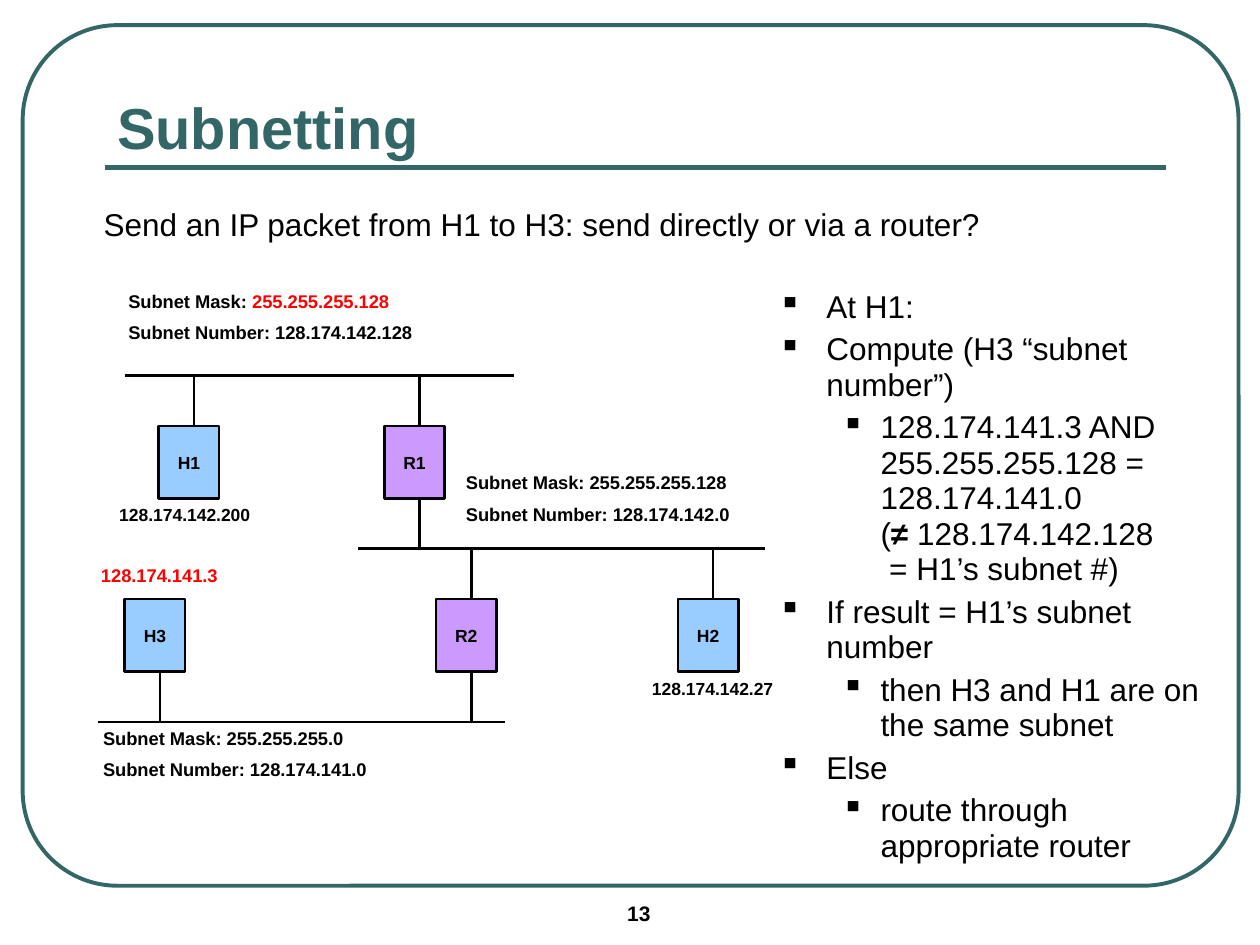
"""Build a slide on subnetting with a network map and routing steps."""
import pptx
import pptx.util
import pptx.dml.color
import pptx.enum.shapes
import pptx.enum.text
import pptx.oxml.ns
import lxml.etree

RGB = pptx.dml.color.RGBColor
TEAL = RGB(0x33, 0x66, 0x66)
BLACK = RGB(0, 0, 0)
RED = RGB(255, 0, 0)
BLUE = RGB(0x99, 0xCC, 0xFF)
LILAC = RGB(0xCC, 0x99, 0xFF)
KIND = pptx.enum.shapes.MSO_SHAPE
ALIGN = pptx.enum.text.PP_ALIGN
ANCHOR = pptx.enum.text.MSO_ANCHOR
INCH, PT = pptx.util.Inches, pptx.util.Pt

FIRST, ROW, LINK = 2.98, 1.375, 0.4
WIDE, TALL, PORT = 0.48, ROW - 2 * LINK, 0.28

WIRES = [(0.99, 4.08), (2.84, 6.07), (0.78, 4.01)]
NODES = [
    ("H1", 1.26, 0, BLUE, (0,)),
    ("R1", 3.05, 0, LILAC, (0, 1)),
    ("H3", 0.99, 1, BLUE, (1,)),
    ("R2", 3.46, 1, LILAC, (0, 1)),
    ("H2", 5.38, 1, BLUE, (0,)),
]
NETS = [
    (0.92, 2.25, "255.255.255.128", RED, "128.174.142.128"),
    (0.72, 5.72, "255.255.255.0", BLACK, "128.174.141.0"),
    (3.6, 3.69, "255.255.255.128", BLACK, "128.174.142.0"),
]
HOSTS = [
    (0.37, 3.95, "128.174.142.200", 10, BLACK),
    (0.17, 4.43, "128.174.141.3", 10.5, RED),
    (4.56, 5.33, "128.174.142.27", 10, BLACK),
]
ASK = "Send an IP packet from H1 to H3: send directly or via a router?"
STEPS = [
    (0, ["At H1:"]),
    (0, ["Compute (H3 “subnet number”)"]),
    (1, ["128.174.141.3 AND 255.255.255.128 = 128.174.141.0 ", "\n", "(", "≠ ",
         "128.174.142.128", "\n", " = H1’s subnet #)"]),
    (0, ["If result = H1’s subnet number"]),
    (1, ["then H3 and H1 are on the same subnet"]),
    (0, ["Else"]),
    (1, ["route through appropriate router"]),
]
INDENTS = [(0.38, -0.38), (0.81, -0.31)]


def write(para, text, size, color=BLACK, bold=True):
    run = para.add_run()
    run.text = text
    font = run.font
    font.name, font.size, font.bold = "Arial", PT(size), bold
    font.color.rgb = color


def box(shapes, left, top, wide, tall, wrap=True):
    frame = shapes.add_textbox(*map(INCH, (left, top, wide, tall))).text_frame
    frame.word_wrap = wrap
    return frame


def block(shapes, kind, area, fill, edge, width):
    shape = shapes.add_shape(kind, *map(INCH, area))
    shape.shadow.inherit = False
    if fill is None:
        shape.fill.background()
    else:
        shape.fill.solid()
        shape.fill.fore_color.rgb = fill
    shape.line.color.rgb = edge
    shape.line.width = PT(width)
    return shape


def wire(shapes, x1, y1, x2, y2, color=BLACK, width=1.5):
    line = shapes.add_connector(pptx.enum.shapes.MSO_CONNECTOR.STRAIGHT,
                                *map(INCH, (x1, y1, x2, y2)))
    line.line.color.rgb = color
    line.line.width = PT(width)
    props = line._element.spPr
    lxml.etree.SubElement(props, pptx.oxml.ns.qn("a:effectLst"))


def frame_up(slide):
    edge = block(slide.shapes, KIND.ROUNDED_RECTANGLE,
                 (0.18, 0.2, 9.65, 6.83), None, TEAL, 2.25)
    edge.adjustments[0] = 0.11
    wire(slide.shapes, 0.83, 1.33, 9.25, 1.33, TEAL, 3)
    title = slide.shapes.title
    title.left, title.top, title.width, title.height = map(
        INCH, (0.83, 0.58, 8.42, 0.75))
    title.text_frame.vertical_anchor = ANCHOR.BOTTOM
    para = title.text_frame.paragraphs[0]
    para.alignment = ALIGN.LEFT
    write(para, "Subnetting", 33, TEAL)
    write(box(slide.shapes, 4.88, 7.1, 1.17, 0.33).paragraphs[0], "13", 12)


def draw_map(shapes):
    for row, (start, end) in enumerate(WIRES):
        y = FIRST + row * ROW
        wire(shapes, start, y, end, y)
    for name, left, row, fill, sides in NODES:
        top = FIRST + row * ROW + LINK
        for side in sides:
            y = top + TALL if side else top - LINK
            wire(shapes, left + PORT, y, left + PORT, y + LINK)
        node = block(shapes, KIND.RECTANGLE, (left, top, WIDE, TALL),
                     fill, BLACK, 1.5)
        frame = node.text_frame
        frame.word_wrap = False
        frame.vertical_anchor = ANCHOR.MIDDLE
        frame.paragraphs[0].alignment = ALIGN.CENTER
        write(frame.paragraphs[0], name, 10)
    for left, top, mask, color, number in NETS:
        frame = box(shapes, left, top, 3.57, 0.54)
        para = frame.paragraphs[0]
        write(para, "Subnet Mask: ", 10.5)
        write(para, mask, 10.5, color)
        para = frame.add_paragraph()
        para.space_before = PT(5.5)
        write(para, "Subnet Number: " + number, 10.5)
    for left, top, text, size, color in HOSTS:
        para = box(shapes, left, top, 2.19, 0.27).paragraphs[0]
        para.alignment = ALIGN.CENTER
        write(para, text, size, color)


def list_steps(frame):
    for spot, (level, parts) in enumerate(STEPS):
        para = frame.add_paragraph() if spot else frame.paragraphs[0]
        para.level = level
        para.line_spacing = 0.94
        para.space_before = PT(4)
        props = para._p.get_or_add_pPr()
        for key, size in zip(("marL", "indent"), INDENTS[level]):
            props.set(key, str(INCH(size)))
        mark = lxml.etree.SubElement(props, pptx.oxml.ns.qn("a:buChar"))
        mark.set("char", "▪")
        for part in parts:
            if part == "\n":
                para.add_line_break()
            else:
                write(para, part, 18, bold=part == "≠ ")


def main():
    deck = pptx.Presentation()
    deck.slide_width, deck.slide_height = INCH(10), INCH(7.5)
    slide = deck.slides.add_slide(deck.slide_layouts[5])
    frame_up(slide)
    draw_map(slide.shapes.add_group_shape().shapes)
    para = box(slide.shapes, 0.69, 1.58, 7.22, 0.4, False).paragraphs[0]
    para.alignment = ALIGN.CENTER
    write(para, ASK, 18, bold=False)
    list_steps(box(slide.shapes, 6.08, 2.25, 3.75, 4.5))
    deck.save("out.pptx")


if __name__ == "__main__":
    main()
